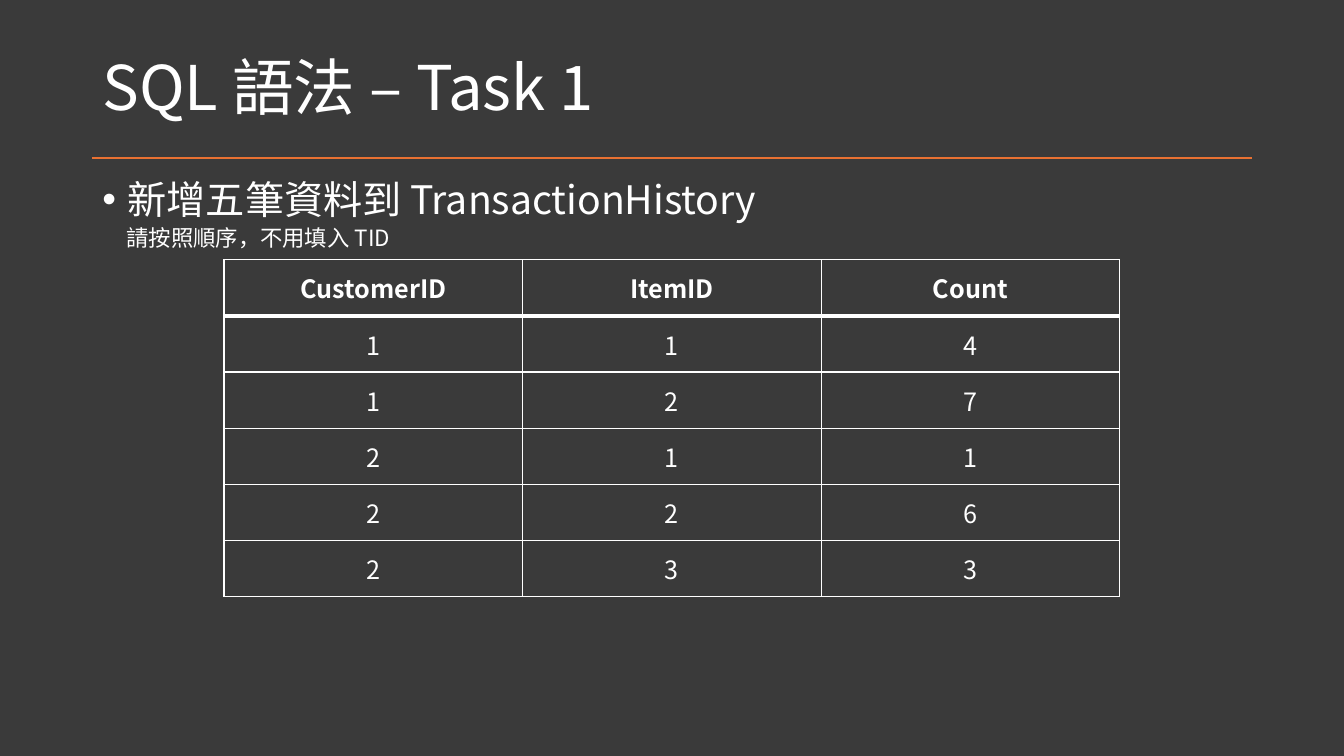
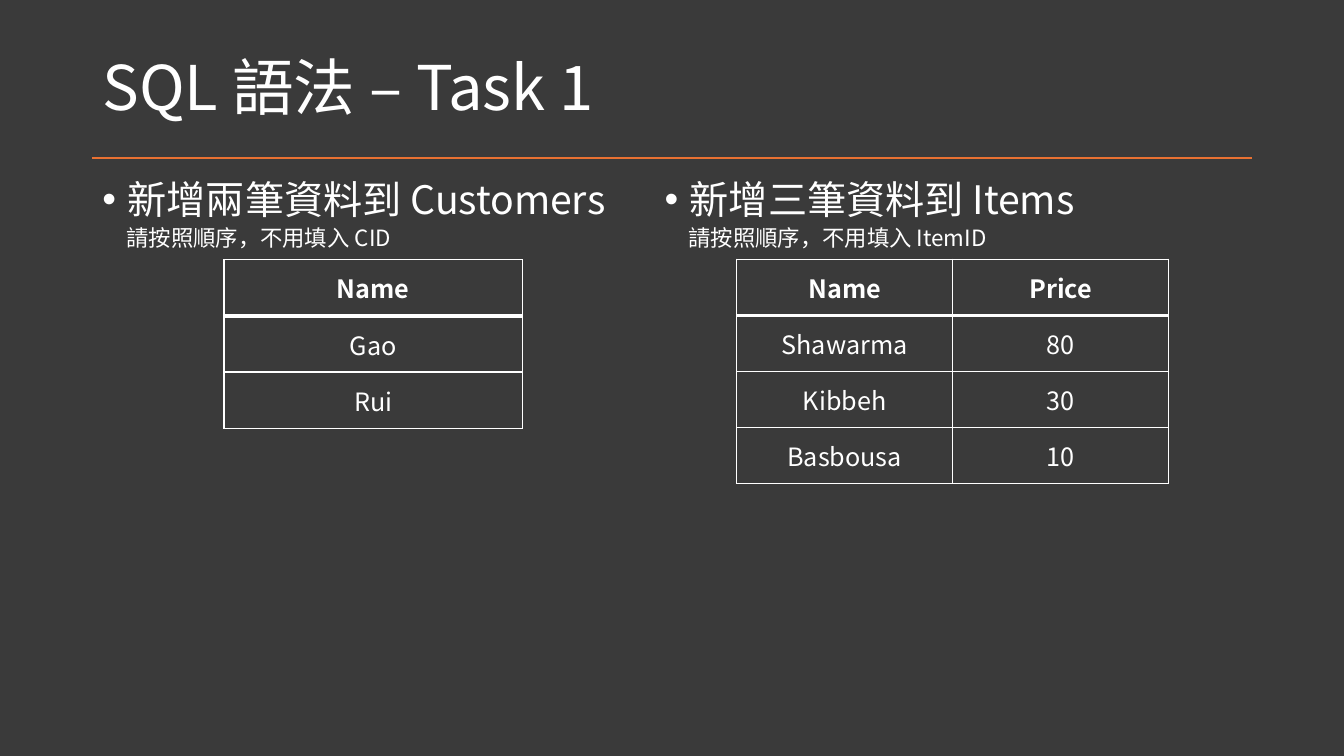
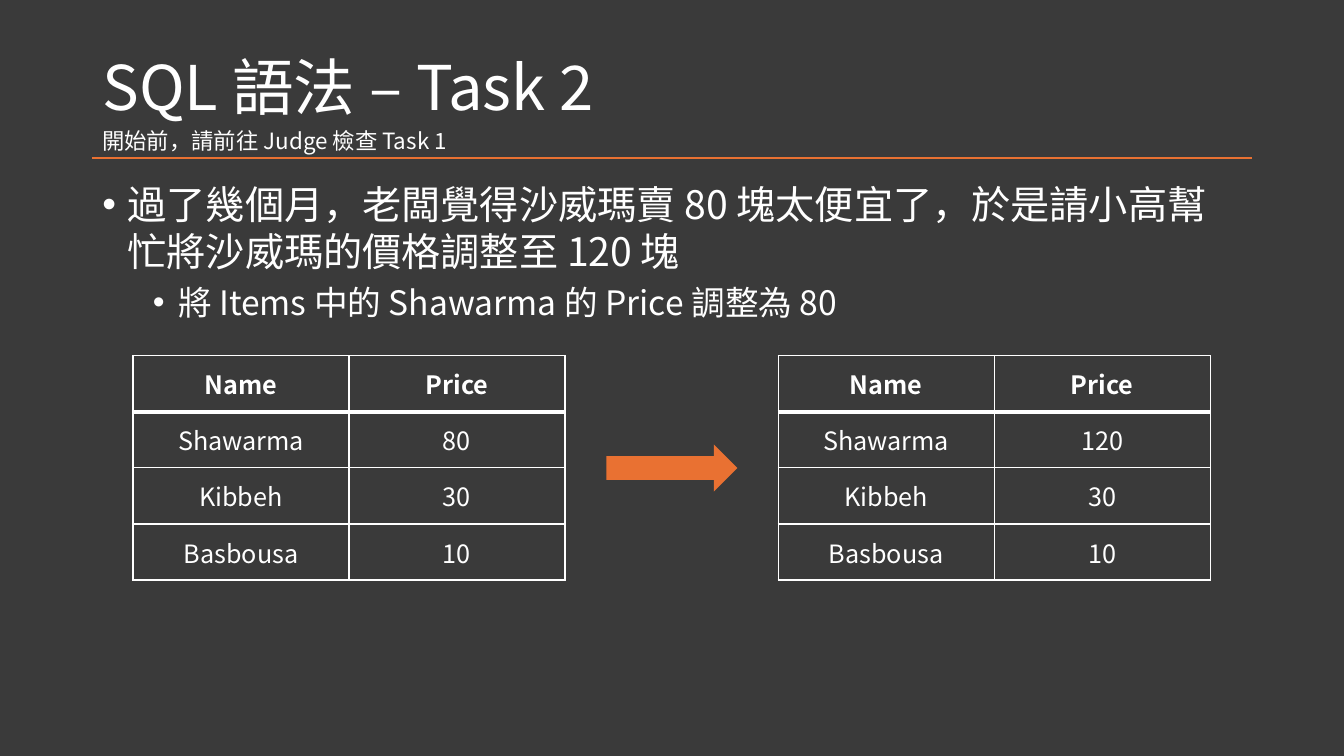
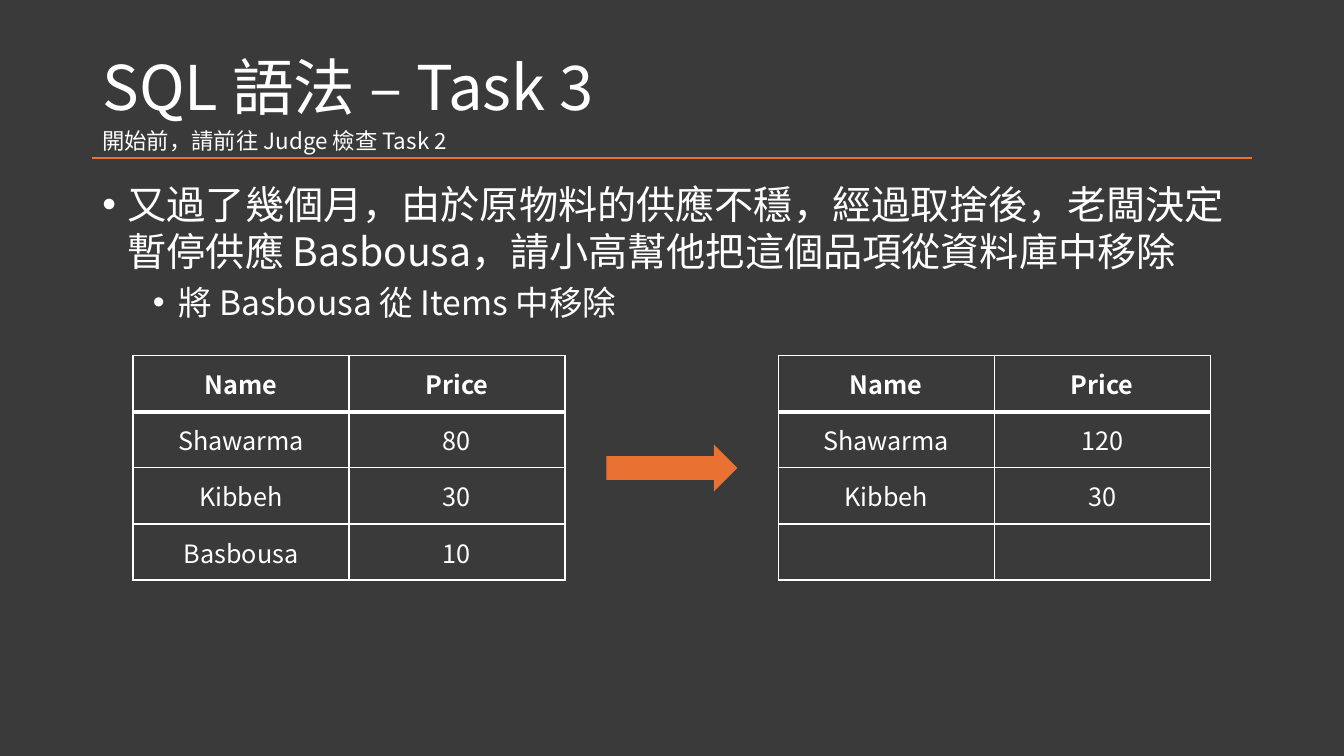
from lxml import etree
from pptx import Presentation
from pptx.dml.color import RGBColor
from pptx.enum.shapes import MSO_CONNECTOR, MSO_SHAPE
from pptx.enum.text import MSO_ANCHOR, MSO_AUTO_SIZE, PP_ALIGN
from pptx.oxml.ns import qn
from pptx.util import Pt

STRAIGHT = MSO_CONNECTOR.STRAIGHT
RIGHT_ARROW = MSO_SHAPE.RIGHT_ARROW
TOP, MIDDLE = MSO_ANCHOR.TOP, MSO_ANCHOR.MIDDLE
NO_FIT, GROW = MSO_AUTO_SIZE.NONE, MSO_AUTO_SIZE.SHAPE_TO_FIT_TEXT
LEFT, CENTER = PP_ALIGN.LEFT, PP_ALIGN.CENTER

COLORS = {"background": "3A3A3A", "text": "FFFFFF", "accent": "E97132"}
FONT = "Noto Sans CJK TC"
MARGIN, CONTENT_WIDTH = 66, 828
HALF_WIDTH, RIGHT_HALF = 414, 467.5
BODY_TOP, BODY_HEIGHT = 125.25, 361
HINT_TOP, HINT_HEIGHT = 156.25, 26.6
RULE_Y = 113
ROW_HEIGHT = 40.1
WIDE_COLUMN, ITEM_COLUMN = 213.3, 154.3

ITEMS_BEFORE = [("Name", "Price"), ("Shawarma", "80"), ("Kibbeh", "30"), ("Basbousa", "10")]
ITEMS_REPRICED = [("Name", "Price"), ("Shawarma", "120"), ("Kibbeh", "30"), ("Basbousa", "10")]
ITEMS_REMOVED = ITEMS_REPRICED[:3] + [("", "")]
CUSTOMERS = [("Name",), ("Gao",), ("Rui",)]
TRANSACTIONS = [
    ("CustomerID", "ItemID", "Count"),
    ("1", "1", "4"),
    ("1", "2", "7"),
    ("2", "1", "1"),
    ("2", "2", "6"),
    ("2", "3", "3"),
]


def rgb(name):
    return RGBColor.from_string(COLORS[name])


def write(paragraph, text, size=18, bold=False, align=LEFT, line_spacing=1.0,
          before=0, margin=0, indent=0, bullet=None):
    properties = paragraph._p.get_or_add_pPr()
    properties.set("marL", str(Pt(margin)))
    properties.set("indent", str(Pt(indent)))
    if bullet:
        etree.SubElement(properties, qn("a:buFont")).set("typeface", "Arial")
        etree.SubElement(properties, qn("a:buChar")).set("char", bullet)
    paragraph.alignment = align
    paragraph.line_spacing = line_spacing
    paragraph.space_before = Pt(before)
    if text:
        run = paragraph.add_run()
        run.text = text
        run.font.size = Pt(size)
        run.font.bold = bold
        run.font.color.rgb = rgb("text")
        run.font.name = FONT
        east_asian = etree.SubElement(run._r.get_or_add_rPr(), qn("a:ea"))
        east_asian.set("typeface", FONT)


def place(shape, left, top, width, height):
    shape.left, shape.top = Pt(left), Pt(top)
    shape.width, shape.height = Pt(width), Pt(height)


def add_task_slide(prs, layout_index, title):
    slide = prs.slides.add_slide(prs.slide_layouts[layout_index])
    heading = slide.shapes.title
    place(heading, MARGIN, 28.75, CONTENT_WIDTH, 72)
    heading.text_frame.auto_size = NO_FIT
    heading.text_frame.vertical_anchor = MIDDLE
    write(heading.text_frame.paragraphs[0], title, size=44, line_spacing=0.9)
    rule = slide.shapes.add_connector(
        STRAIGHT, Pt(MARGIN), Pt(RULE_Y), Pt(MARGIN + CONTENT_WIDTH), Pt(RULE_Y))
    rule.line.color.rgb = rgb("accent")
    rule.line.width = Pt(1.5)
    etree.SubElement(rule._element.spPr, qn("a:effectLst"))
    return slide


def fill_body(body, left, width, point, detail=None, line_spacing=1.0):
    place(body, left, BODY_TOP, width, BODY_HEIGHT)
    frame = body.text_frame
    frame.auto_size = NO_FIT
    frame.vertical_anchor = TOP
    write(frame.paragraphs[0], point, size=28, line_spacing=line_spacing,
          margin=18, indent=-18, bullet="•")
    if detail:
        paragraph = frame.add_paragraph()
        paragraph.level = 1
        write(paragraph, detail, size=24, before=5, margin=54, indent=-18, bullet="•")


def add_hint(slide, left, top, width, text, indent=0):
    hint = slide.shapes.add_textbox(Pt(left), Pt(top), Pt(width), Pt(HINT_HEIGHT))
    hint.text_frame.word_wrap = True
    hint.text_frame.auto_size = GROW
    write(hint.text_frame.paragraphs[0], text, size=16, indent=indent)


def add_border(cell, side, width):
    border = etree.SubElement(cell._tc.get_or_add_tcPr(), qn("a:" + side), w=str(Pt(width)))
    fill = etree.SubElement(border, qn("a:solidFill"))
    etree.SubElement(fill, qn("a:srgbClr"), val=COLORS["text"])


def add_data_table(slide, left, top, column_width, records):
    columns = len(records[0])
    table = slide.shapes.add_table(
        len(records), columns, Pt(left), Pt(top),
        Pt(column_width * columns), Pt(ROW_HEIGHT * len(records))).table
    table.first_row = table.horz_banding = False
    for column in table.columns:
        column.width = Pt(column_width)
    for row_index, record in enumerate(records):
        table.rows[row_index].height = Pt(ROW_HEIGHT)
        for column_index, value in enumerate(record):
            cell = table.cell(row_index, column_index)
            cell.vertical_anchor = MIDDLE
            write(cell.text_frame.paragraphs[0], value, bold=row_index == 0, align=CENTER)
            add_border(cell, "lnL", 1)
            add_border(cell, "lnR", 1)
            add_border(cell, "lnT", 3 if row_index == 1 else 1)
            add_border(cell, "lnB", 3 if row_index == 0 else 1)
            cell.fill.background()


def add_insert_section(slide, body, left, width, point, hint, hint_width, table_box, records):
    fill_body(body, left, width, point, line_spacing=0.9)
    add_data_table(slide, *table_box, records)
    add_hint(slide, left, HINT_TOP, hint_width, hint, indent=17.25)


def add_change_slide(prs, title, check, point, detail, before, after):
    slide = add_task_slide(prs, 1, title)
    fill_body(slide.placeholders[1], MARGIN, CONTENT_WIDTH, point, detail)
    for left, records in ((95, before), (555.8, after)):
        add_data_table(slide, left, 254, ITEM_COLUMN, records)
    arrow = slide.shapes.add_shape(RIGHT_ARROW, Pt(433.2), Pt(317.4), Pt(93.6), Pt(33.8))
    arrow.shadow.inherit = False
    arrow.fill.solid()
    arrow.fill.fore_color.rgb = rgb("accent")
    arrow.line.fill.background()
    add_hint(slide, MARGIN, 87, HALF_WIDTH, check)


def main():
    prs = Presentation()
    prs.slide_width, prs.slide_height = Pt(960), Pt(540)
    background = prs.slide_master.background.fill
    background.solid()
    background.fore_color.rgb = rgb("background")

    slide = add_task_slide(prs, 1, "SQL 語法 – Task 1")
    add_insert_section(
        slide, slide.placeholders[1], MARGIN, CONTENT_WIDTH,
        "新增五筆資料到 TransactionHistory", "請按照順序，不用填入 TID", CONTENT_WIDTH,
        (160, 185.6, WIDE_COLUMN), TRANSACTIONS)

    slide = add_task_slide(prs, 3, "SQL 語法 – Task 1")
    add_insert_section(
        slide, slide.placeholders[1], MARGIN, HALF_WIDTH,
        "新增兩筆資料到 Customers", "請按照順序，不用填入 CID", HALF_WIDTH,
        (160, 185.6, WIDE_COLUMN), CUSTOMERS)
    add_insert_section(
        slide, slide.placeholders[2], RIGHT_HALF, HALF_WIDTH,
        "新增三筆資料到 Items", "請按照順序，不用填入 ItemID", 427,
        (526.2, 185.2, ITEM_COLUMN), ITEMS_BEFORE)

    add_change_slide(
        prs, "SQL 語法 – Task 2", "開始前，請前往 Judge 檢查 Task 1",
        "過了幾個月，老闆覺得沙威瑪賣 80 塊太便宜了，於是請小高幫忙將沙威瑪的價格調整至 120 塊",
        "將 Items 中的 Shawarma 的 Price 調整為 80", ITEMS_BEFORE, ITEMS_REPRICED)
    add_change_slide(
        prs, "SQL 語法 – Task 3", "開始前，請前往 Judge 檢查 Task 2",
        "又過了幾個月，由於原物料的供應不穩，經過取捨後，老闆決定暫停供應 Basbousa，請小高幫他把這個品項從資料庫中移除",
        "將 Basbousa 從 Items 中移除", ITEMS_BEFORE, ITEMS_REMOVED)

    prs.save("out.pptx")


if __name__ == "__main__":
    main()
